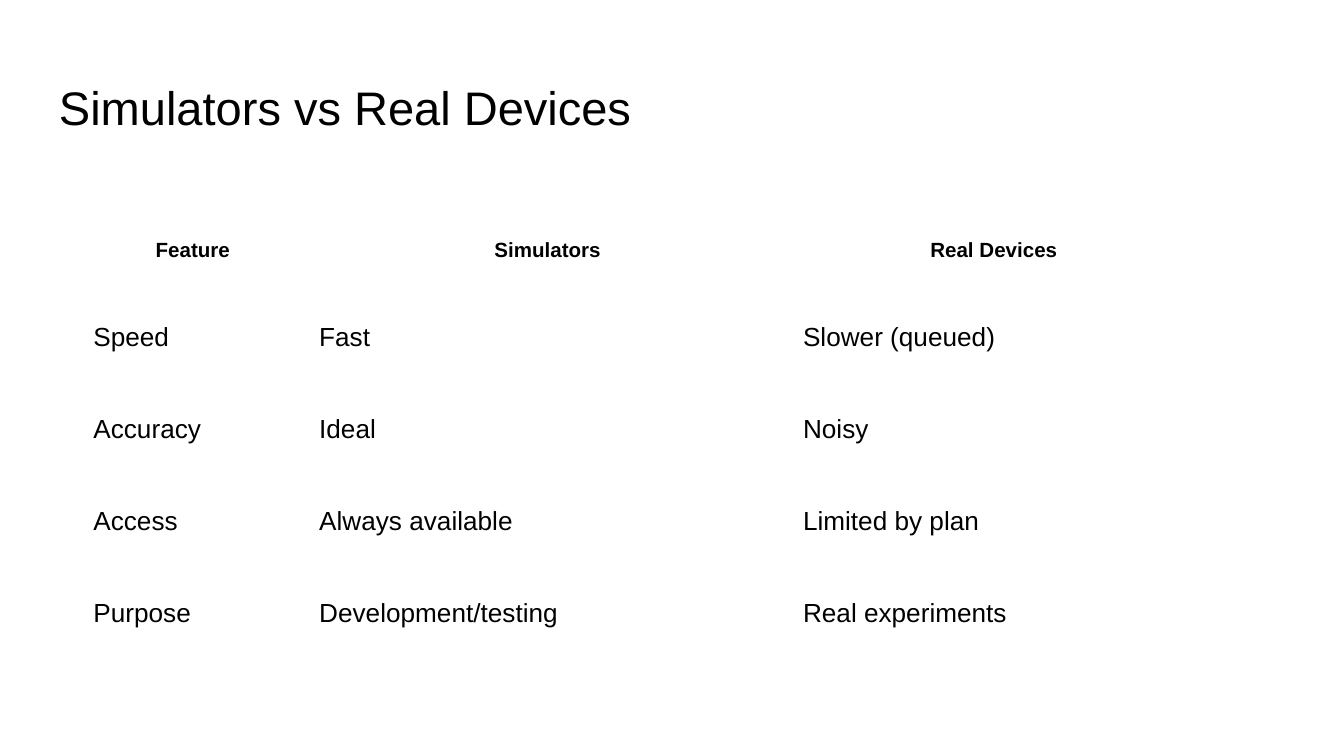
from dataclasses import dataclass

from pptx import Presentation
from pptx.dml.color import RGBColor
from pptx.enum.text import MSO_ANCHOR, PP_ALIGN
from pptx.util import Pt

EMU_PER_PX = 4572  # 200 px to the inch
MIDDLE, TOP = MSO_ANCHOR.MIDDLE, MSO_ANCHOR.TOP
LEFT, CENTER = PP_ALIGN.LEFT, PP_ALIGN.CENTER


@dataclass(frozen=True)
class Theme:
    font: str = "Arial"
    ink: RGBColor = RGBColor(0, 0, 0)
    paper: RGBColor = RGBColor(255, 255, 255)
    title_size: float = 25.2
    header_size: float = 11
    body_size: float = 14


THEME = Theme()
SLIDE_WIDTH, SLIDE_HEIGHT = 2000, 1125
INSET = 20
COLUMN_WIDTHS = (336, 720, 608)
HEADER_HEIGHT, BODY_HEIGHT = 130, 137
COMPARISON = (
    ("Feature", "Simulators", "Real Devices"),
    ("Speed", "Fast", "Slower (queued)"),
    ("Accuracy", "Ideal", "Noisy"),
    ("Access", "Always available", "Limited by plan"),
    ("Purpose", "Development/testing", "Real experiments"),
)


def px(length):
    return length * EMU_PER_PX


def set_insets(holder):
    holder.margin_left = holder.margin_right = px(INSET)
    holder.margin_top = holder.margin_bottom = px(INSET)


def write_text(frame, text, size, bold=False, align=LEFT):
    frame.text = text
    paragraph = frame.paragraphs[0]
    paragraph.alignment = align
    font = paragraph.font
    font.name, font.size, font.bold = THEME.font, Pt(size), bold
    font.color.rgb = THEME.ink
    return paragraph


def add_title(slide, text, left, top, width, height):
    title = slide.shapes.add_textbox(px(left), px(top), px(width), px(height))
    frame = title.text_frame
    frame.word_wrap = True
    frame.vertical_anchor = MIDDLE
    set_insets(frame)
    write_text(frame, text, THEME.title_size)


def fill_cell(cell, text, is_header):
    cell.fill.background()
    cell.vertical_anchor = TOP
    set_insets(cell)
    if is_header:
        heading = write_text(cell.text_frame, text, THEME.header_size, True, CENTER)
        heading.line_spacing = 1.15
    else:
        write_text(cell.text_frame, text, THEME.body_size)


def add_comparison(slide, rows, left, top):
    heights = [HEADER_HEIGHT] + [BODY_HEIGHT] * (len(rows) - 1)
    table = slide.shapes.add_table(
        len(rows), len(COLUMN_WIDTHS), px(left), px(top),
        px(sum(COLUMN_WIDTHS)), px(sum(heights)),
    ).table
    table.first_row = table.horz_banding = False
    for column, width in zip(table.columns, COLUMN_WIDTHS):
        column.width = px(width)
    for row_index, (row, height, texts) in enumerate(zip(table.rows, heights, rows)):
        row.height = px(height)
        for cell, text in zip(row.cells, texts):
            fill_cell(cell, text, is_header=row_index == 0)


def main():
    deck = Presentation()
    deck.slide_width, deck.slide_height = px(SLIDE_WIDTH), px(SLIDE_HEIGHT)
    slide = deck.slides.add_slide(deck.slide_layouts[6])
    slide.background.fill.solid()
    slide.background.fill.fore_color.rgb = THEME.paper

    # Heading
    add_title(slide, "Simulators vs Real Devices", 68, 97, 1864, 125)
    # Feature comparison
    add_comparison(slide, COMPARISON, 119, 330)

    deck.save("out.pptx")


if __name__ == "__main__":
    main()
